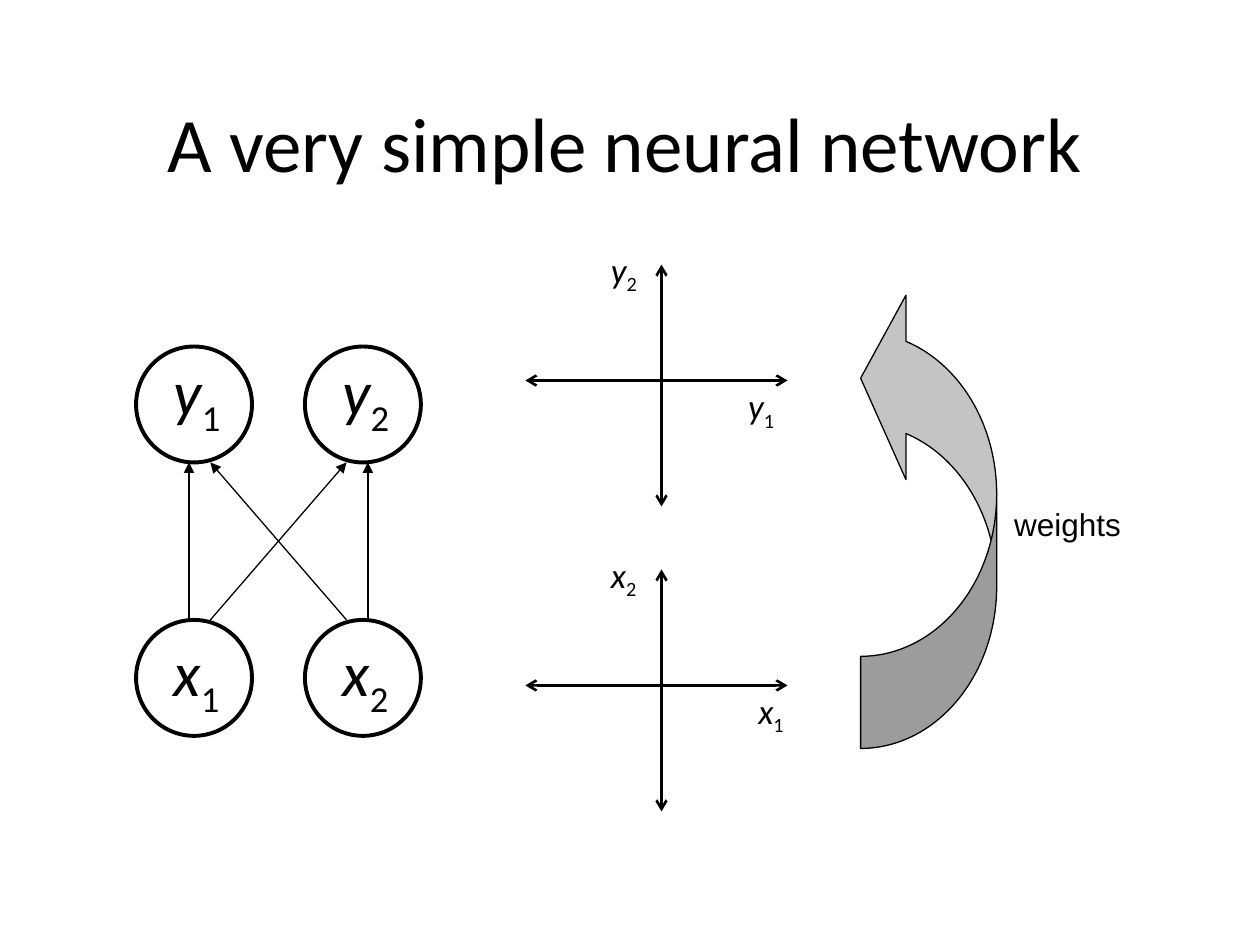
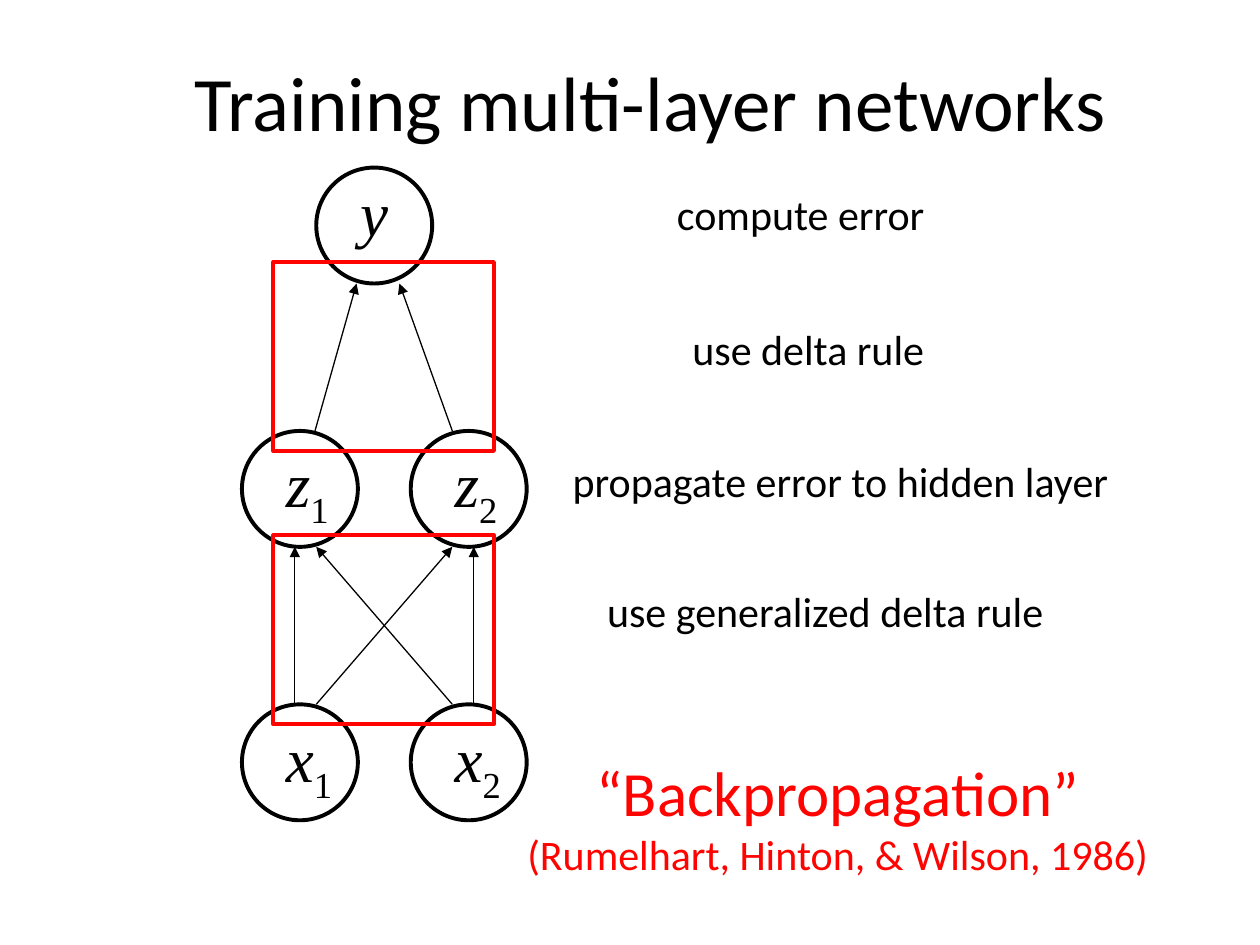
"""Builds two slides on simple and multi-layer neural networks."""
from lxml import etree
from pptx import Presentation
from pptx import util as u
from pptx.dml import color
from pptx.enum import shapes, text
from pptx.oxml import ns

BLACK, WHITE, RED, GREY = "000000", "FFFFFF", "FF0300", "C4C4C4"
SANS, SERIF, PLAIN = "Calibri", "Times New Roman", "Arial"

NODE_SIZE = 0.92
COLUMN_GAP = 1.34
LAYER_GAP = 2.17
STRAIGHT_LINKS = [(0.42, 0.42), (1.84, 1.84)]
CROSS_LINKS = [(0.59, 1.67), (1.67, 0.59)]

SIMPLE = {
    "title": ("A very simple neural network", (0.17, 0.5, 9.58, 1.25)),
    "left": 1.08,
    "top": 2.75,
    "layers": [("y", 0), ("x", 0.06)],
    "font": SANS,
    "label_shift": 0.2,
}
PLOTS = [("y", 2.1, 5.84), ("x", 4.52, 5.92)]
PLOT_LEFT, PLOT_RIGHT, PLOT_CENTRE = 4.17, 6.25, 5.25
PLOT_HEIGHT, PLOT_MIDDLE = 1.92, 0.92

MULTI = {
    "title": ("Training multi-layer networks", (0.75, 0.17, 8.83, 1.25)),
    "left": 1.92,
    "top": 3.42,
    "layers": [("z", 0.06), ("x", 0.07)],
    "font": SERIF,
    "label_shift": 0.25,
}
OUTPUT_NODE = (2.51, 1.33)
OUTPUT_LINKS = [((2.5, 3.42), (2.83, 2.25)), ((3.59, 3.42), (3.17, 2.25))]
FRAME_TOPS = [2.08, 4.25]
STEPS = [
    ("compute error", (5.16, 1.45, 2.39, 0.5)),
    ("use delta rule", (4.42, 2.52, 3.99, 0.5)),
    ("propagate error to hidden layer", (4.33, 3.57, 4.68, 0.5)),
    ("use generalized delta rule", (4.68, 4.6, 3.74, 0.5)),
]
METHOD = [("“Backpropagation”", 36), ("(Rumelhart, Hinton, & Wilson, 1986)", 24)]


def rgb(value):
    return color.RGBColor.from_string(value)


def inches(values):
    return [u.Inches(value) for value in values]


def style(span, size, font=SANS, ink=BLACK, italic=False):
    span.font.size = u.Pt(size)
    span.font.name = font
    span.font.color.rgb = rgb(ink)
    span.font.italic = italic


def add_box(page, place, anchor=text.MSO_ANCHOR.TOP):
    frame = page.shapes.add_textbox(*inches(place)).text_frame
    frame.word_wrap = True
    frame.vertical_anchor = anchor
    return frame


def add_lines(page, lines, place, ink=BLACK, font=SANS, align=text.PP_ALIGN.CENTER,
              anchor=text.MSO_ANCHOR.TOP):
    frame = add_box(page, place, anchor)
    frame.text = "\n".join(line for line, _ in lines)
    for para, (_, size) in zip(frame.paragraphs, lines):
        para.alignment = align
        style(para.runs[0], size, font, ink)


def add_symbol(page, letter, index, left, top, size, font):
    para = add_box(page, (left, top, 0.8, size / 60 + 0.1)).paragraphs[0]
    span = para.add_run()
    span.text = letter
    style(span, size, font, italic=True)
    if index:
        span = para.add_run()
        span.text = str(index)
        style(span, size, font)
        span._r.get_or_add_rPr().set("baseline", "-25000")


def add_figure(page, kind, place, fill=None, ink=BLACK, width=2.25):
    figure = page.shapes.add_shape(kind, *inches(place))
    figure.shadow.inherit = False
    if fill:
        figure.fill.solid()
        figure.fill.fore_color.rgb = rgb(fill)
    else:
        figure.fill.background()
    figure.line.color.rgb = rgb(ink)
    figure.line.width = u.Pt(width)
    return figure


def add_arrow(page, start, end, width=0.75, ends=("tailEnd",), tip="triangle"):
    line = page.shapes.add_connector(shapes.MSO_CONNECTOR.STRAIGHT, *inches(start + end))
    line.line.color.rgb = rgb(BLACK)
    line.line.width = u.Pt(width)
    properties = line._element.spPr
    for name in ends:
        etree.SubElement(properties.find(ns.qn("a:ln")), ns.qn("a:" + name), type=tip)
    etree.SubElement(properties, ns.qn("a:effectLst"))


def add_node(page, left, top):
    add_figure(page, shapes.MSO_SHAPE.OVAL, (left, top, NODE_SIZE, NODE_SIZE), WHITE)


def add_network(page, network):
    title, place = network["title"]
    add_lines(page, [(title, 44)], place, anchor=text.MSO_ANCHOR.MIDDLE)
    left, top = network["left"], network["top"]
    for row, (letter, drop) in enumerate(network["layers"]):
        layer_top = top + row * LAYER_GAP
        for column in range(2):
            node_left = left + column * COLUMN_GAP
            add_node(page, node_left, layer_top)
            add_symbol(page, letter, column + 1, node_left + network["label_shift"],
                       layer_top + drop, 36, network["font"])
    for low, high in STRAIGHT_LINKS + CROSS_LINKS:
        add_arrow(page, (left + low, top + LAYER_GAP), (left + high, top + NODE_SIZE))


def add_plot(page, letter, top, label_left):
    middle = top + PLOT_MIDDLE
    for start, end in [((PLOT_CENTRE, top), (PLOT_CENTRE, top + PLOT_HEIGHT)),
                       ((PLOT_LEFT, middle), (PLOT_RIGHT, middle))]:
        add_arrow(page, start, end, 1.5, ("headEnd", "tailEnd"), "arrow")
    add_symbol(page, letter, 1, label_left, middle - 0.02, 20, SANS)
    add_symbol(page, letter, 2, 4.75, top - 0.18, 20, SANS)


def build_simple(page):
    add_network(page, SIMPLE)
    bend = add_figure(page, shapes.MSO_SHAPE.CURVED_LEFT_ARROW,
                      (6.83, 2.27, 1.08, 3.67), GREY, width=0.75)
    for number, value in enumerate((0.677, 1.354, 0.333)):
        bend.adjustments[number] = value
    bend.rotation = 180
    bend._element.spPr.find(ns.qn("a:xfrm")).set("flipH", "1")
    add_lines(page, [("weights", 18)], (7.95, 3.96, 1.4, 0.5), font=PLAIN,
              align=text.PP_ALIGN.LEFT)
    for plot in PLOTS:
        add_plot(page, *plot)


def build_multi(page):
    add_network(page, MULTI)
    left, top = OUTPUT_NODE
    add_node(page, left, top)
    add_symbol(page, "y", None, left + MULTI["label_shift"], top, 36, SERIF)
    for start, end in OUTPUT_LINKS:
        add_arrow(page, start, end)
    for frame_top in FRAME_TOPS:
        add_figure(page, shapes.MSO_SHAPE.RECTANGLE, (2.17, frame_top, 1.75, 1.5), ink=RED)
    for step, place in STEPS:
        add_lines(page, [(step, 24)], place)
    add_lines(page, METHOD, (3.88, 5.93, 5.54, 1.18), RED)


def main():
    deck = Presentation()
    deck.slide_width, deck.slide_height = inches((10, 7.5))
    for build in (build_simple, build_multi):
        build(deck.slides.add_slide(deck.slide_layouts[6]))
    deck.save("out.pptx")


if __name__ == "__main__":
    main()
